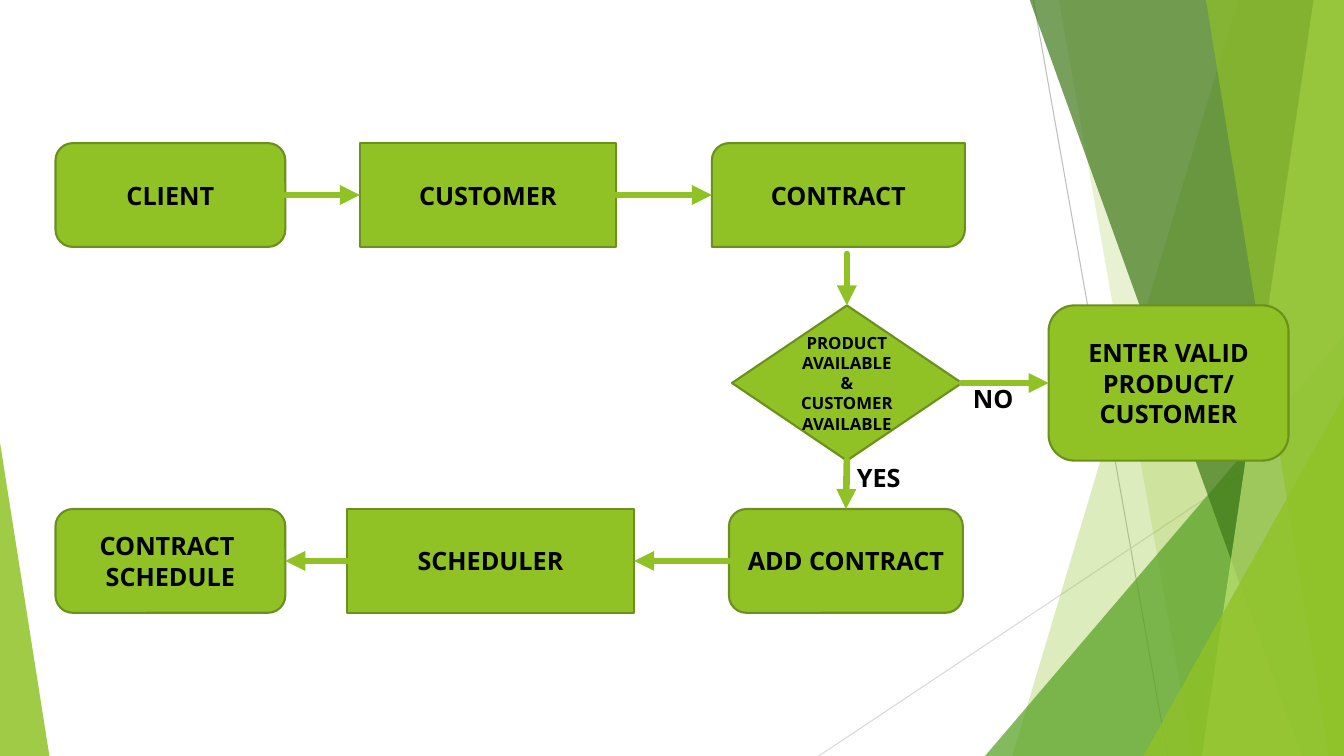
"""Build the contract scheduling flowchart slide with its green faceted backdrop."""
from lxml import etree
from pptx import Presentation
from pptx.dml.color import RGBColor
from pptx.enum.shapes import MSO_CONNECTOR, MSO_SHAPE
from pptx.enum.text import MSO_ANCHOR, MSO_AUTO_SIZE, PP_ALIGN
from pptx.oxml.ns import qn
from pptx.util import Inches, Pt

STRAIGHT = MSO_CONNECTOR.STRAIGHT
TRIANGLE = MSO_SHAPE.ISOSCELES_TRIANGLE
ROUNDED = MSO_SHAPE.ROUNDED_RECTANGLE
DIAGONAL = MSO_SHAPE.ROUND_2_DIAG_RECTANGLE
RECTANGLE = MSO_SHAPE.RECTANGLE
DIAMOND = MSO_SHAPE.DIAMOND
MIDDLE, TOP = MSO_ANCHOR.MIDDLE, MSO_ANCHOR.TOP
CENTER, LEFT = PP_ALIGN.CENTER, PP_ALIGN.LEFT
FIT_TEXT = MSO_AUTO_SIZE.SHAPE_TO_FIT_TEXT

GREEN, DARK_GREEN, BLACK = "90C226", "6B901C", "000000"
SLIDE_WIDTH, SLIDE_HEIGHT = 13.33, 7.5
BAND_TOP = -0.01
TOP_ROW, DECISION_ROW, BOTTOM_ROW = 1.42, 3.03, 5.05
STEP_HEIGHT, DECISION_HEIGHT = 1.03, 1.54
ARROW_GAP = 0.07

color = RGBColor.from_string


def write(shape, text, size=18, align=CENTER, anchor=MIDDLE):
    frame = shape.text_frame
    frame.word_wrap = True
    frame.vertical_anchor = anchor
    frame.text = text
    for paragraph in frame.paragraphs:
        paragraph.alignment = align
        for run in paragraph.runs:
            run.font.name = "Open Sans"
            run.font.size = Pt(size)
            run.font.bold = True
            run.font.color.rgb = color(BLACK)


def connect(start, end, line_color=GREEN, weight=4.75, arrow=True):
    points = [Inches(value) for value in (*start, *end)]
    connector = slide.shapes.add_connector(STRAIGHT, *points)
    connector.line.color.rgb = color(line_color)
    connector.line.width = Pt(weight)
    properties = connector._element.spPr
    etree.SubElement(properties, qn("a:effectLst"))
    if arrow:
        outline = properties.find(qn("a:ln"))
        outline.set("cap", "rnd")
        etree.SubElement(outline, qn("a:tailEnd"), type="triangle")


presentation = Presentation()
presentation.slide_width = Inches(SLIDE_WIDTH)
presentation.slide_height = Inches(SLIDE_HEIGHT)
slide = presentation.slides.add_slide(presentation.slide_layouts[6])

connect((10.25, 0), (11.58, SLIDE_HEIGHT), "BFBFBF", 0.75, arrow=False)
connect((SLIDE_WIDTH, 4.03), (8.12, SLIDE_HEIGHT), "D9D9D9", 0.75, arrow=False)

facets = [
    ("band", {"top_x": 12.28, "bottom_x": 10.04}, GREEN, 30),
    ("band", {"top_x": 10.5, "bottom_x": 11.83}, GREEN, 20),
    ("triangle", {"left": 9.77, "top": 3.33, "width": 3.56, "apex": 1}, "54A021", 72),
    ("band", {"top_x": 10.21, "bottom_x": 12.91}, "3F7819", 70),
    ("band", {"top_x": 13.03, "bottom_x": 11.92}, "C0E474", 70),
    ("band", {"top_x": 11.96, "bottom_x": 13.18}, GREEN, 65),
    ("triangle", {"left": 11.34, "top": 3.93, "width": 1.99, "apex": 1}, GREEN, 80),
    ("triangle", {"left": 0, "top": 4.39, "width": 0.49, "apex": 0}, GREEN, 85),
]
for kind, place, facet_color, opacity in facets:
    if kind == "band":
        corners = [(SLIDE_WIDTH, BAND_TOP), (SLIDE_WIDTH, SLIDE_HEIGHT),
                   (place["bottom_x"], SLIDE_HEIGHT)]
        builder = slide.shapes.build_freeform(Inches(place["top_x"]), Inches(BAND_TOP))
        builder.add_line_segments([(Inches(x), Inches(y)) for x, y in corners])
        facet = builder.convert_to_shape()
    else:
        facet = slide.shapes.add_shape(
            TRIANGLE, Inches(place["left"]), Inches(place["top"]),
            Inches(place["width"]), Inches(SLIDE_HEIGHT - place["top"]))
        facet.adjustments[0] = place["apex"]
    facet.shadow.inherit = False
    facet.line.fill.background()
    facet.fill.solid()
    facet.fill.fore_color.rgb = color(facet_color)
    fill_color = facet._element.spPr.find(qn("a:solidFill")).find(qn("a:srgbClr"))
    etree.SubElement(fill_color, qn("a:alpha"), val=str(opacity * 1000))

steps = {
    "client": (ROUNDED, 0.55, TOP_ROW, 2.28, "CLIENT"),
    "customer": (RECTANGLE, 3.57, TOP_ROW, 2.54, "CUSTOMER"),
    "contract": (DIAGONAL, 7.06, TOP_ROW, 2.51, "CONTRACT"),
    "check": (DIAMOND, 7.26, DECISION_ROW, 2.28, "PRODUCT AVAILABLE &\nCUSTOMER AVAILABLE"),
    "retry": (ROUNDED, 10.4, DECISION_ROW, 2.38, "ENTER VALID PRODUCT/\nCUSTOMER"),
    "add": (ROUNDED, 7.23, BOTTOM_ROW, 2.32, "ADD CONTRACT"),
    "scheduler": (RECTANGLE, 3.44, BOTTOM_ROW, 2.85, "SCHEDULER"),
    "schedule": (ROUNDED, 0.55, BOTTOM_ROW, 2.28, "CONTRACT \nSCHEDULE"),
}
boxes = {}
for name, (kind, left, top, width, text) in steps.items():
    height = DECISION_HEIGHT if top == DECISION_ROW else STEP_HEIGHT
    boxes[name] = (left, left + width, top + height / 2)
    step = slide.shapes.add_shape(kind, Inches(left), Inches(top), Inches(width), Inches(height))
    step.shadow.inherit = False
    step.fill.solid()
    step.fill.fore_color.rgb = color(GREEN)
    step.line.color.rgb = color(DARK_GREEN)
    step.line.width = Pt(1.5)
    write(step, text, size=12 if kind == DIAMOND else 18)

rightward = [("client", "customer"), ("customer", "contract"), ("check", "retry")]
for source, target in rightward:
    source_left, source_right, middle = boxes[source]
    connect((source_right, middle), (boxes[target][0], middle))

leftward = [("add", "scheduler"), ("scheduler", "schedule")]
for source, target in leftward:
    source_left, source_right, middle = boxes[source]
    connect((source_left, middle), (boxes[target][1], middle))

check_left, check_right, check_middle = boxes["check"]
check_center = (check_left + check_right) / 2
add_center = sum(boxes["add"][:2]) / 2
connect((check_center, TOP_ROW + STEP_HEIGHT + ARROW_GAP), (check_center, DECISION_ROW))
connect((check_center, DECISION_ROW + DECISION_HEIGHT), (add_center, BOTTOM_ROW))

branch_labels = [("NO", 9.55, 3.75, 0.65), ("YES", 8.4, 4.54, 1.17)]
for text, left, top, width in branch_labels:
    label = slide.shapes.add_textbox(Inches(left), Inches(top), Inches(width), Inches(0.4))
    write(label, text, align=LEFT, anchor=TOP)
    label.text_frame.auto_size = FIT_TEXT

presentation.save("out.pptx")
